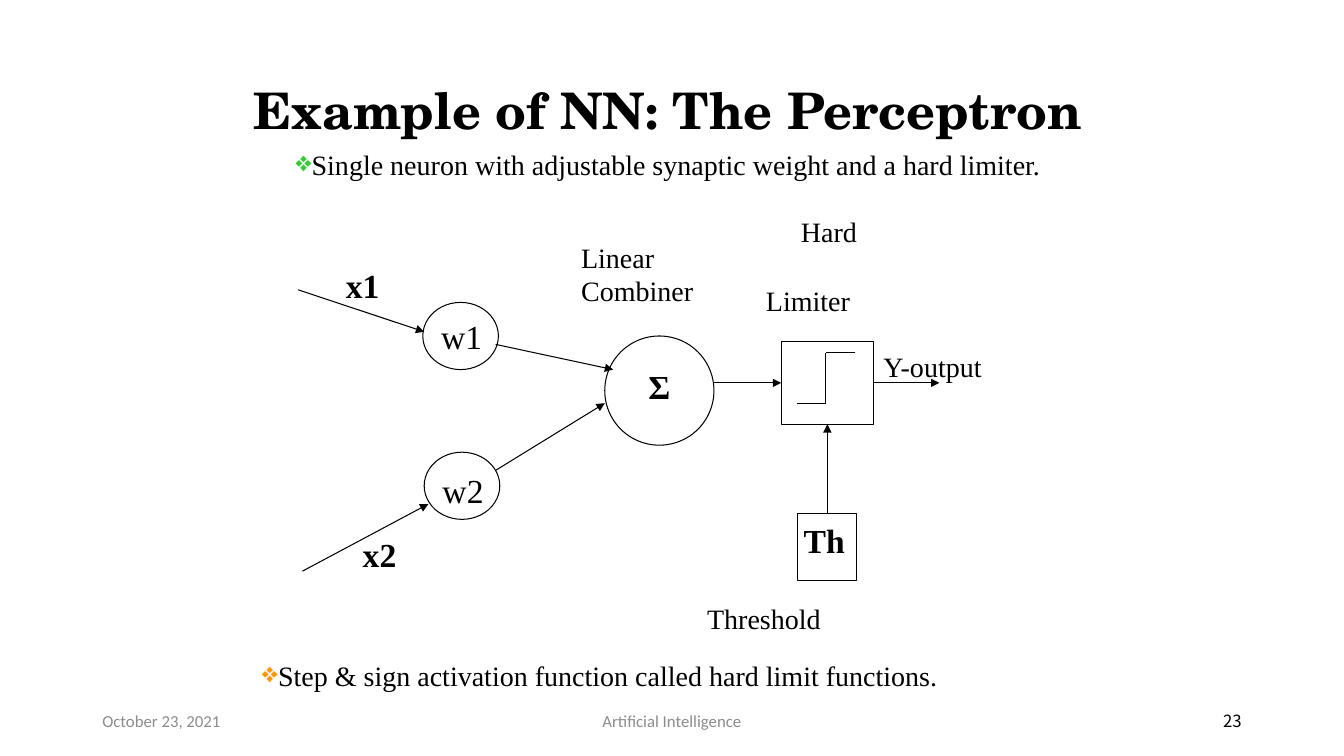
"""Build a slide that explains the perceptron with a labelled diagram."""
from dataclasses import dataclass
from itertools import pairwise

from lxml.etree import SubElement
from pptx import Presentation
from pptx.dml.color import RGBColor
from pptx.enum.shapes import MSO_CONNECTOR, MSO_SHAPE
from pptx.enum.text import MSO_ANCHOR, MSO_AUTO_SIZE, PP_ALIGN
from pptx.oxml.ns import qn
from pptx.util import Pt


@dataclass(frozen=True)
class Theme:
    ink: str = "000000"
    muted: str = "8C8C8C"
    green: str = "33CC33"
    orange: str = "FF9900"
    body_font: str = "Times New Roman"
    title_font: str = "TeX Gyre Schola"
    footer_font: str = "Calibri"
    number_font: str = "Noto Sans CJK KR"
    title_size: int = 36
    symbol_size: int = 24
    label_size: int = 20
    footer_size: int = 12
    line_width: float = 0.75


THEME = Theme()

TITLE = "Example of NN: The Perceptron"
TITLE_BOX = (174, 36, 612, 90)

BULLETS = [
    ("Single neuron with adjustable synaptic weight and a hard limiter.", (204, 102, 600, 31), THEME.green),
    ("Step & sign activation function called hard limit functions.", (180, 467, 600, 31), THEME.orange),
]

NODES = {
    "sum": (MSO_SHAPE.OVAL, (432, 240, 78, 78)),
    "limiter": (MSO_SHAPE.RECTANGLE, (558, 244, 66, 59)),
    "threshold": (MSO_SHAPE.RECTANGLE, (570, 367, 42, 48)),
    "w1": (MSO_SHAPE.OVAL, (302, 216, 54, 48)),
    "w2": (MSO_SHAPE.OVAL, (303, 323, 54, 48)),
}

SYMBOLS = [
    ("w1", (308, 222, 44, 36), False),
    ("w2", (309, 332, 44, 36), False),
    ("Σ", (456, 258, 30, 36), True),
    ("Th", (567, 368, 44, 36), True),
    ("x1", (240, 186, 48, 36), True),
    ("x2", (252, 378, 48, 36), True),
]

LABELS = [
    ("Threshold", (498, 426, 168, 31)),
    ("Linear Combiner", (408, 168, 114, 55)),
    ("Y-output", (624, 246, 168, 31)),
]
LIMITER_LABEL = ("Hard", "Limiter")
LIMITER_LABEL_BOX = (540, 150, 90, 55)

SIGNALS = [
    ((213, 207), (303, 237)),
    ((216, 408), (306, 360)),
    ((354, 246), (438, 264)),
    ((354, 336), (432, 288)),
]
STEP = [(569, 288), (590, 288), (590, 252), (611, 252)]
OUTPUT_END = 671

FOOTERS = [
    ("October 23, 2021", (66, 500, 216, 29), PP_ALIGN.LEFT, THEME.footer_font, THEME.muted),
    ("Artificial Intelligence", (318, 500, 324, 29), PP_ALIGN.CENTER, THEME.footer_font, THEME.muted),
    ("23", (678, 500, 216, 29), PP_ALIGN.RIGHT, THEME.number_font, THEME.ink),
]


def write(para, text, *, font=THEME.body_font, size=THEME.label_size, color=THEME.ink,
          bold=False, align=PP_ALIGN.LEFT, bullet=None, indent=0, before=0):
    """Put formatted text into a paragraph."""
    para.alignment = align
    para.space_before = Pt(before)
    properties = para._p.get_or_add_pPr()
    properties.set("marL", str(Pt(indent)))
    properties.set("indent", "0")
    if bullet:
        bullet_color = SubElement(properties, qn("a:buClr"))
        SubElement(bullet_color, qn("a:srgbClr"), val=bullet)
        SubElement(properties, qn("a:buChar"), char="❖")
    span = para.add_run()
    span.text = text
    span.font.name = font
    span.font.size = Pt(size)
    span.font.bold = bold
    span.font.color.rgb = RGBColor.from_string(color)


def add_box(page, place, *, wrap=True, anchor=MSO_ANCHOR.TOP):
    """Add an empty text box and return its text frame."""
    frame = page.shapes.add_textbox(*map(Pt, place)).text_frame
    frame.word_wrap = wrap
    frame.vertical_anchor = anchor
    return frame


def add_node(page, kind, place):
    """Add an outlined shape without fill."""
    node = page.shapes.add_shape(kind, *map(Pt, place))
    node.shadow.inherit = False
    node.fill.background()
    node.line.color.rgb = RGBColor.from_string(THEME.ink)
    node.line.width = Pt(THEME.line_width)
    return node


def add_line(page, start, end, arrow=True):
    """Add a straight line, with an arrowhead at its end if wanted."""
    line = page.shapes.add_connector(MSO_CONNECTOR.STRAIGHT, *map(Pt, (*start, *end)))
    line.line.color.rgb = RGBColor.from_string(THEME.ink)
    line.line.width = Pt(THEME.line_width)
    if arrow:
        SubElement(line.line._get_or_add_ln(), qn("a:tailEnd"), type="triangle")
    SubElement(line._element.spPr, qn("a:effectLst"))
    return line


def add_title(page):
    """Place and format the title placeholder."""
    title = page.shapes.title
    title.left, title.top, title.width, title.height = map(Pt, TITLE_BOX)
    frame = title.text_frame
    frame.word_wrap = True
    frame.auto_size = MSO_AUTO_SIZE.NONE
    frame.vertical_anchor = MSO_ANCHOR.MIDDLE
    para = frame.paragraphs[0]
    para.line_spacing = 0.9
    write(para, TITLE, font=THEME.title_font, size=THEME.title_size, bold=True)


def add_diagram(page):
    """Draw the nodes, the signals between them and the step curve."""
    nodes = {name: add_node(page, *node) for name, node in NODES.items()}
    for start, end in SIGNALS:
        add_line(page, start, end)
    for start, end in pairwise(STEP):
        add_line(page, start, end, arrow=False)

    left, top, width, height = NODES["limiter"][1]
    middle, center = top + height / 2, left + width / 2
    sum_left, _, sum_width, _ = NODES["sum"][1]
    into = add_line(page, (sum_left + sum_width, middle), (left, middle))
    into.end_connect(nodes["limiter"], 1)
    output = add_line(page, (left + width, middle), (OUTPUT_END, middle))
    output.begin_connect(nodes["limiter"], 3)
    bias = add_line(page, (center, NODES["threshold"][1][1]), (center, top + height))
    bias.begin_connect(nodes["threshold"], 0)
    bias.end_connect(nodes["limiter"], 2)


def add_texts(page):
    """Write the symbols, labels, bullets and footers."""
    for text, place, bold in SYMBOLS:
        frame = add_box(page, place, wrap=False)
        write(frame.paragraphs[0], text, size=THEME.symbol_size, bold=bold)
    for text, place in LABELS:
        write(add_box(page, place).paragraphs[0], text)
    frame = add_box(page, LIMITER_LABEL_BOX)
    write(frame.paragraphs[0], LIMITER_LABEL[0], indent=25)
    write(frame.add_paragraph(), LIMITER_LABEL[1], before=25)
    for text, place, color in BULLETS:
        write(add_box(page, place).paragraphs[0], text, bullet=color)
    for text, place, align, font, color in FOOTERS:
        frame = add_box(page, place, anchor=MSO_ANCHOR.MIDDLE)
        write(frame.paragraphs[0], text, font=font, size=THEME.footer_size, color=color, align=align)


def main():
    """Build and save the deck."""
    deck = Presentation()
    deck.slide_width, deck.slide_height = Pt(960), Pt(540)
    page = deck.slides.add_slide(deck.slide_layouts[5])
    add_title(page)
    add_diagram(page)
    add_texts(page)
    deck.save("out.pptx")


if __name__ == "__main__":
    main()
